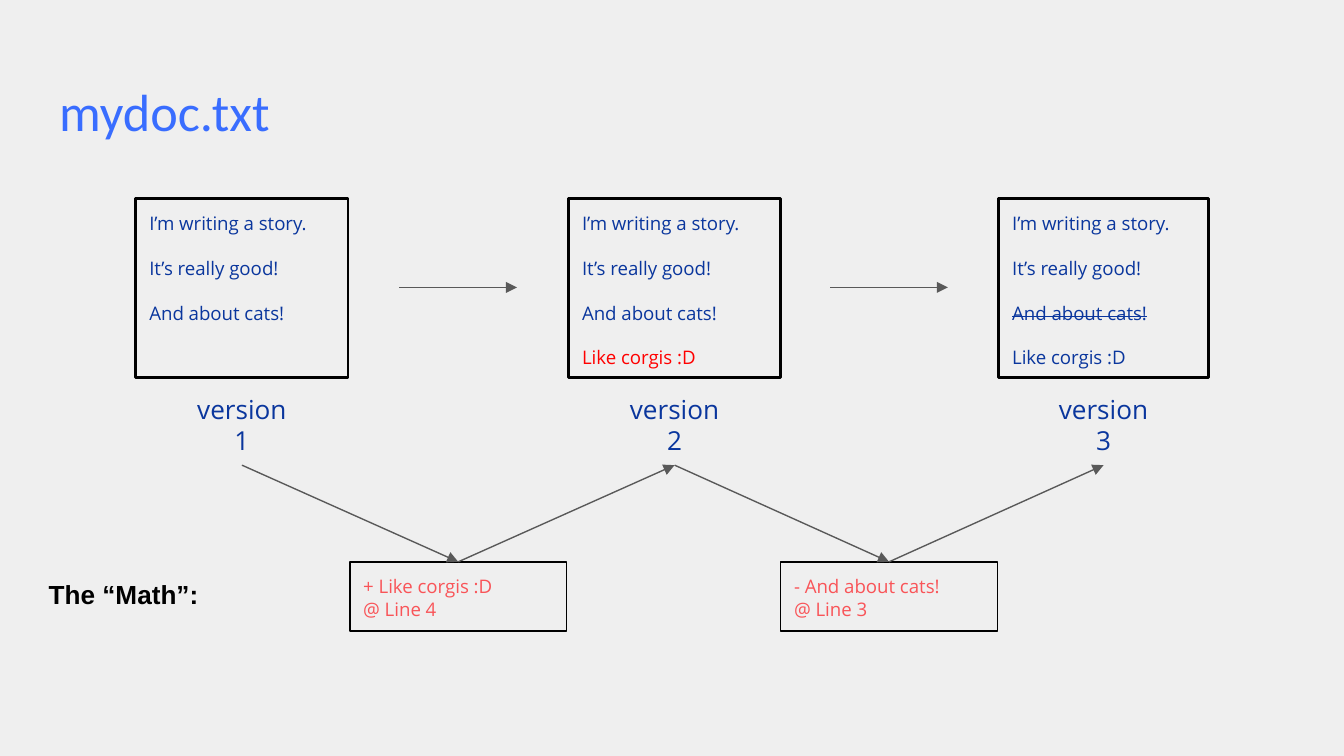
"""Build a slide that compares three versions of a text file and the changes between them."""
from lxml import etree
from pptx import Presentation
from pptx.dml.color import RGBColor
from pptx.enum.shapes import MSO_CONNECTOR, MSO_SHAPE
from pptx.enum.text import MSO_ANCHOR, MSO_AUTO_SIZE, PP_ALIGN
from pptx.oxml.ns import qn
from pptx.util import Pt

STRAIGHT = MSO_CONNECTOR.STRAIGHT
RECTANGLE = MSO_SHAPE.RECTANGLE
TOP = MSO_ANCHOR.TOP
NO_AUTOFIT = MSO_AUTO_SIZE.NONE
LEFT, CENTER = PP_ALIGN.LEFT, PP_ALIGN.CENTER
color = RGBColor.from_string

NAVY, BLUE, RED, CORAL = "0A369D", "396DFF", "FF0000", "F95458"
BLACK, GRAY, BACKGROUND = "000000", "595959", "EFEFEF"
COLUMN_CENTERS = [129.6, 361.4, 591.2]
LABEL_TOP, LABEL_HEIGHT = 203.8, 45.4
CHANGE_TOP = 301
LABEL_BOTTOM = LABEL_TOP + LABEL_HEIGHT


def write_text(shape, lines, font_name, size, hex_color, alignment=LEFT, gap=0, spacing=None, bold=False):
    frame = shape.text_frame
    frame.word_wrap = True
    frame.auto_size = NO_AUTOFIT
    frame.vertical_anchor = TOP
    frame.margin_left = frame.margin_right = frame.margin_top = frame.margin_bottom = Pt(7.2)
    frame.text = "\n".join(lines)
    for index, paragraph in enumerate(frame.paragraphs):
        properties = paragraph._p.get_or_add_pPr()
        properties.set("marL", "0")
        properties.set("indent", "0")
        etree.SubElement(properties, qn("a:buNone"))
        paragraph.alignment = alignment
        paragraph.space_before = Pt(gap if index else 0)
        paragraph.line_spacing = spacing
        for run in paragraph.runs:
            run.font.name = font_name
            run.font.size = Pt(size)
            run.font.bold = bold
            run.font.color.rgb = color(hex_color)


def add_arrow(start_x, start_y, end_x, end_y):
    arrow = slide.shapes.add_connector(STRAIGHT, Pt(start_x), Pt(start_y), Pt(end_x), Pt(end_y))
    arrow.line.color.rgb = color(GRAY)
    arrow.line.width = Pt(0.75)
    etree.SubElement(arrow.line._get_or_add_ln(), qn("a:tailEnd"), type="triangle")
    etree.SubElement(arrow._element.spPr, qn("a:effectLst"))


presentation = Presentation()
presentation.slide_width, presentation.slide_height = Pt(720), Pt(405)
slide = presentation.slides.add_slide(presentation.slide_layouts[4])
slide.background.fill.solid()
slide.background.fill.fore_color.rgb = color(BACKGROUND)

title, *documents, spare = slide.placeholders
spare._element.getparent().remove(spare._element)
title.left, title.top, title.width, title.height = Pt(24.5), Pt(35.3), Pt(671), Pt(45.4)
write_text(title, ["mydoc.txt"], "Calibri", 28, BLUE)

story = ["I’m writing a story.", "It’s really good!", "And about cats!"]
ending = "Like corgis :D"
versions = [story, story + [ending], story + [ending]]
widths = [113.6, 113.6, 112.4]
for number, (document, lines, center, width) in enumerate(zip(documents, versions, COLUMN_CENTERS, widths), 1):
    document.left, document.top = Pt(center - width / 2), Pt(106.4)
    document.width, document.height = Pt(width), Pt(96)
    document.line.color.rgb = color(BLACK)
    document.line.width = Pt(1.5)
    write_text(document, lines, "Open Sans", 10, NAVY, gap=12, spacing=Pt(12))
    label = slide.shapes.add_textbox(Pt(center - 34), Pt(LABEL_TOP), Pt(68), Pt(LABEL_HEIGHT))
    write_text(label, [f"version\v{number}"], "Open Sans", 14, NAVY, CENTER, spacing=Pt(16.5))

added_run = documents[1].text_frame.paragraphs[3].runs[0]
added_run.font.color.rgb = color(RED)
removed_run = documents[2].text_frame.paragraphs[2].runs[0]
removed_run._r.get_or_add_rPr().set("strike", "sngStrike")

changes = [["+ Like corgis :D", "@ Line 4"], ["- And about cats!", "@ Line 3"]]
for lines, before, after in zip(changes, COLUMN_CENTERS, COLUMN_CENTERS[1:]):
    middle = (before + after) / 2
    change = slide.shapes.add_shape(RECTANGLE, Pt(middle - 58), Pt(CHANGE_TOP), Pt(116), Pt(37))
    change.shadow.inherit = False
    change.fill.background()
    change.line.color.rgb = color(BLACK)
    change.line.width = Pt(0.75)
    write_text(change, lines, "Open Sans", 10, CORAL, spacing=Pt(12))
    add_arrow(middle - 31.5, 154, middle + 31.5, 154)
    add_arrow(before, LABEL_BOTTOM, middle, CHANGE_TOP)
    add_arrow(middle, CHANGE_TOP, after, LABEL_BOTTOM)

math_label = slide.shapes.add_textbox(Pt(18), Pt(302.4), Pt(96.5), Pt(34.6))
write_text(math_label, ["The “Math”:"], "Arial", 14, BLACK, CENTER, bold=True)

presentation.save("out.pptx")
